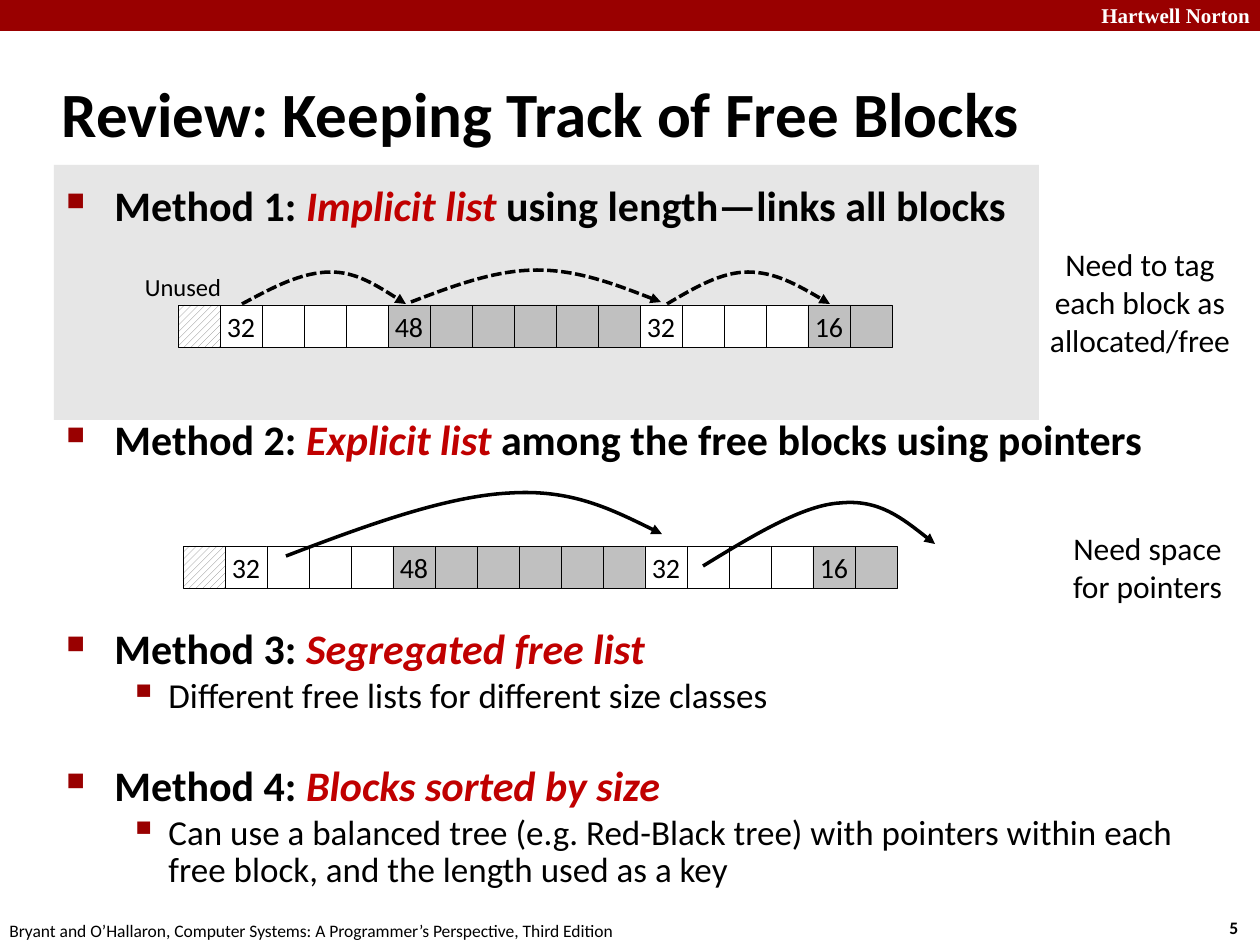
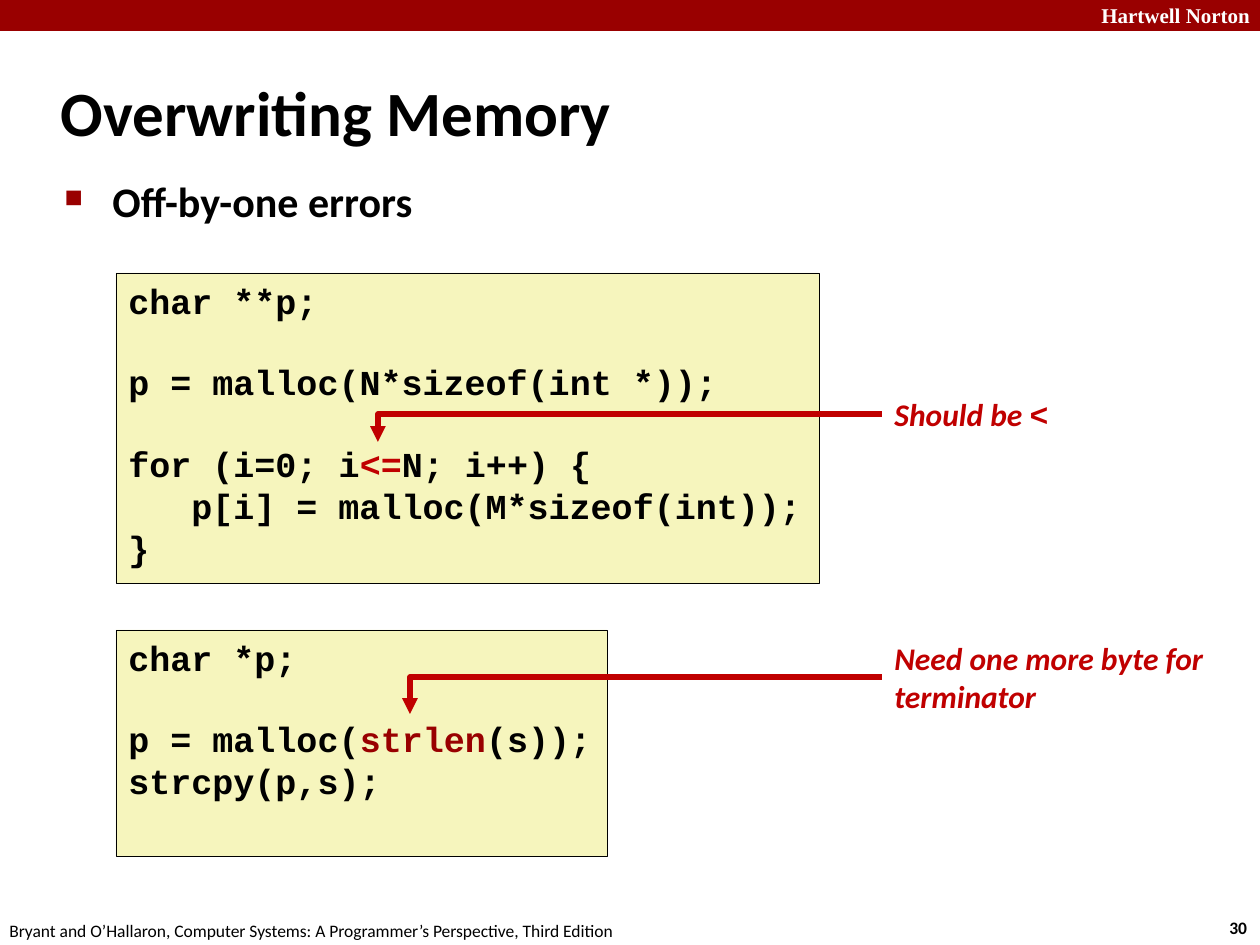
from lxml import etree
from pptx import Presentation
from pptx.dml.color import RGBColor
from pptx.enum.dml import MSO_LINE, MSO_PATTERN
from pptx.enum.shapes import MSO_CONNECTOR, MSO_SHAPE
from pptx.enum.text import MSO_ANCHOR, MSO_AUTO_SIZE, PP_ALIGN
from pptx.oxml.ns import qn
from pptx.util import Emu, Pt

SCALE = 914400 / 126
BLACK = RGBColor(0x00, 0x00, 0x00)
WHITE = RGBColor(0xFF, 0xFF, 0xFF)
MAROON = RGBColor(0x99, 0x00, 0x00)
RED = RGBColor(0xC0, 0x00, 0x00)
PALE = RGBColor(0xE6, 0xE6, 0xE6)
GRAY = RGBColor(0xC0, 0xC0, 0xC0)
DARK = RGBColor(0x80, 0x80, 0x80)
CREAM = RGBColor(0xF6, 0xF5, 0xBD)
SANS, SERIF, MONO = "Calibri", "Times New Roman", "Courier New"
RECT, ELBOW = MSO_SHAPE.RECTANGLE, MSO_CONNECTOR.ELBOW
DASH, HATCH = MSO_LINE.SQUARE_DOT, MSO_PATTERN.WIDE_UPWARD_DIAGONAL
LEFT, CENTER = PP_ALIGN.LEFT, PP_ALIGN.CENTER
TOP, MIDDLE = MSO_ANCHOR.TOP, MSO_ANCHOR.MIDDLE
FIXED = MSO_AUTO_SIZE.NONE

CELL = 42
BLOCKS = [("32", 4, WHITE), ("48", 6, GRAY), ("32", 4, WHITE), ("16", 2, GRAY)]
CODE_GAP = 22.66  # height of one empty code line, points
# bullet levels: mark, mark size, mark left, text left, font size, bold
LEVELS = [("■", 60, 0, 48, 24, True), ("▪", 110, 63, 102, 20, False)]


def px(num):
    return Emu(round(num * SCALE))


def box(*rect):
    return [px(num) for num in rect]


# ---- text ----
def style(run, size, color=BLACK, bold=False, italic=False, face=SANS):
    font = run.font
    font.name, font.size = face, Pt(size)
    font.bold, font.italic = bold, italic
    font.color.rgb = color


def write(para, parts, size, **base):
    """Fill a paragraph from plain text or (text, changes) pairs."""
    for part in [parts] if isinstance(parts, str) else parts:
        text, extra = (part, {}) if isinstance(part, str) else part
        run = para.add_run()
        run.text = text
        style(run, size, **{**base, **extra})


def next_para(frame, index):
    return frame.paragraphs[0] if index == 0 else frame.add_paragraph()


def set_frame(shape, anchor=TOP, wrap=False):
    frame = shape.text_frame
    frame.auto_size, frame.word_wrap = FIXED, wrap
    frame.vertical_anchor = anchor
    return frame


def label(slide, rect, lines, size, align=LEFT, anchor=TOP, **base):
    frame = set_frame(slide.shapes.add_textbox(*box(*rect)), anchor)
    for index, line in enumerate(lines):
        para = next_para(frame, index)
        para.alignment = align
        write(para, line, size, **base)


def bullets(slide, rect, items):
    """Each item is level, space before, line spacing, parts."""
    frame = set_frame(slide.shapes.add_textbox(*box(*rect)), wrap=True)
    for index, (level, gap, pitch, parts) in enumerate(items):
        mark, scale, start, left, size, bold = LEVELS[level]
        para = next_para(frame, index)
        para.level = level
        para.space_before, para.line_spacing = Pt(gap), pitch
        props = para._p.get_or_add_pPr()
        props.set("marL", str(px(left)))
        props.set("indent", str(px(start - left)))
        color = etree.SubElement(props, qn("a:buClr"))
        etree.SubElement(color, qn("a:srgbClr"), val=str(MAROON))
        etree.SubElement(props, qn("a:buSzPct"), val=str(scale * 1000))
        etree.SubElement(props, qn("a:buChar"), char=mark)
        write(para, parts, size, bold=bold)


# ---- shapes ----
def rect_shape(shapes, rect, fill, line=None):
    shape = shapes.add_shape(RECT, *box(*rect))
    shape.shadow.inherit = False
    shape.fill.solid()
    shape.fill.fore_color.rgb = fill
    if line is None:
        shape.line.fill.background()
    else:
        shape.line.color.rgb = line
        shape.line.width = Pt(0.25)
    return shape


def code(slide, rect, lines):
    """Each line is space before, left indent, parts."""
    frame = set_frame(rect_shape(slide.shapes, rect, CREAM, BLACK))
    for index, (gap, indent, parts) in enumerate(lines):
        para = next_para(frame, index)
        para.alignment, para.space_before = LEFT, Pt(gap)
        para._p.get_or_add_pPr().set("marL", str(px(indent)))
        write(para, parts, 20, bold=True, face=MONO)


def heap(slide, left, top):
    """A hatched unused word, then every block as a run of cells."""
    group = slide.shapes.add_group_shape().shapes
    unused = rect_shape(group, (left, top, CELL, CELL), WHITE, BLACK)
    unused.fill.patterned()
    unused.fill.pattern = HATCH
    unused.fill.fore_color.rgb = DARK
    unused.fill.back_color.rgb = WHITE
    for size, count, fill in BLOCKS:
        for index in range(count):
            left += CELL
            cell = rect_shape(group, (left, top, CELL, CELL), fill, BLACK)
            if index == 0:
                frame = set_frame(cell, MIDDLE)
                frame.paragraphs[0].alignment = CENTER
                write(frame.paragraphs[0], size, 16)


# ---- arrows ----
def arrow(line, color, width):
    line.color.rgb = color
    line.width = Pt(width)
    etree.SubElement(line._get_or_add_ln(), qn("a:tailEnd"), type="triangle")


def curve(slide, points, dash=None):
    """Draw a start point followed by triples of Bezier points."""
    pen = slide.shapes.build_freeform(*points[0], scale=SCALE)
    pen.add_line_segments(points[1:], close=False)
    shape = pen.convert_to_shape()
    steps = list(shape._element.iter(qn("a:lnTo")))
    for index in range(0, len(steps), 3):
        bend = etree.Element(qn("a:cubicBezTo"))
        steps[index].addprevious(bend)
        for step in steps[index:index + 3]:
            bend.append(step[0])
            step.getparent().remove(step)
    shape.shadow.inherit = False
    shape.fill.background()
    if dash:
        shape.line.dash_style = dash
    arrow(shape.line, BLACK, 2)


def hop(slide, start, mid, end, base, top):
    rise, fall, half = (mid - start) / 3, (end - mid) / 3, (base + top) / 2
    points = [(start, base), (start + rise, half), (mid - rise, top), (mid, top),
              (mid + fall, top), (end - fall, half), (end, base)]
    curve(slide, [(round(x), round(y)) for x, y in points], DASH)


def elbow(slide, start, end):
    """Run level from start, then turn down to end."""
    link = slide.shapes.add_connector(ELBOW, *box(*start, *end))
    props = link._element.spPr
    guides = props.find(qn("a:prstGeom")).get_or_add_avLst()
    etree.SubElement(guides, qn("a:gd"), name="adj1", fmla="val 100000")
    arrow(link.line, RED, 3)
    etree.SubElement(props, qn("a:effectLst"))


# ---- shared slide frame ----
def new_slide(deck, title, rect, number, pitch=1.0):
    slide = deck.slides.add_slide(deck.slide_layouts[5])
    head = slide.shapes.title
    head.left, head.top, head.width, head.height = box(*rect)
    frame = set_frame(head, MIDDLE, True)
    frame.text = title
    para = frame.paragraphs[0]
    para.alignment, para.line_spacing = LEFT, pitch
    style(para.runs[0], 36, bold=True)
    rect_shape(slide.shapes, (0, 0, 1260, 31), MAROON)
    label(slide, (1089, -4, 180, 38), ["Hartwell Norton"], 12,
          color=WHITE, bold=True, face=SERIF)
    label(slide, (1217, 911, 47, 34), [number], 10, bold=True)
    label(slide, (-3, 914, 640, 34),
          ["Bryant and O’Hallaron, Computer Systems: "
           "A Programmer’s Perspective, Third Edition"], 10)
    return slide


def free_blocks(deck):
    slide = new_slide(deck, "Review: Keeping Track of Free Blocks",
                      (49, 60, 1046, 105), "5")
    rect_shape(slide.shapes, (54, 165, 985, 255), PALE)
    key = {"color": RED, "italic": True}
    bullets(slide, (54, 173, 1143, 741), [
        (0, 4.3, 1.0, ["Method 1: ", ("Implicit list ", key),
                       "using length—links all blocks"]),
        (0, 105, 1.0, ["Method 2: ", ("Explicit list ", key),
                       "among the free blocks using pointers"]),
        (0, 95.7, 0.83, ["Method 3: ", ("Segregated free list", key)]),
        (1, 3.5, 0.88, "Different free lists for different size classes"),
        (0, 29.9, 0.83, ["Method 4: ", ("Blocks sorted by size", key)]),
        (1, 3.5, 0.88, "Can use a balanced tree (e.g. Red-Black tree) with pointers "
                       "within each free block, and the length used as a key"),
    ])
    # implicit list
    hop(slide, 242, 331, 406, 304, 272)
    hop(slide, 411, 537, 661, 302, 270)
    hop(slide, 667, 748, 830, 304, 272)
    label(slide, (1036, 239, 208, 127),
          ["Need to tag", "each block as", "allocated/free"], 18, CENTER)
    label(slide, (132, 265, 102, 43), ["Unused"], 14, CENTER, MIDDLE)
    heap(slide, 178, 305)
    # explicit list
    label(slide, (1057, 523, 181, 89), ["Need space", "for pointers"], 18, CENTER)
    heap(slide, 183, 546)
    curve(slide, [(286, 556), (367, 525), (447, 496), (510, 493),
                  (572, 489), (617, 512), (662, 534)])
    curve(slide, [(703, 566), (752, 536), (803, 505), (840, 503),
                  (879, 499), (907, 522), (935, 544)])


def overwriting(deck):
    slide = new_slide(deck, "Overwriting Memory", (48, 63, 1201, 108), "30", 0.87)
    bullets(slide, (52, 173, 1145, 719), [(0, 4.3, 0.95, "Off-by-one errors")])
    code(slide, (116, 273, 703, 310), [
        (0, 0, "char **p;"),
        (CODE_GAP, 0, "p = malloc(N*sizeof(int *));"),
        (CODE_GAP, 0, ["for (i=0; i", ("<=", {"color": RED}), "N; i++) {"]),
        (0, 63, "p[i] = malloc(M*sizeof(int));"),
        (0, 0, "}"),
    ])
    code(slide, (116, 630, 491, 226), [
        (0, 0, "char *p;"),
        (CODE_GAP, 0, ["p = malloc(", ("strlen", {"color": MAROON}), "(s));"]),
        (0, 0, "strcpy(p,s);"),
    ])
    note = {"color": RED, "bold": True, "italic": True}
    label(slide, (882, 389, 180, 50),
          [["Should be ", ("<", {"face": MONO, "italic": False})]], 18, **note)
    label(slide, (882, 633, 340, 89),
          ["Need one more byte for", "terminator"], 18, **note)
    elbow(slide, (882, 414), (378, 442))
    elbow(slide, (882, 677), (410, 714))


def main():
    deck = Presentation()
    deck.slide_width, deck.slide_height = box(1260, 945)
    free_blocks(deck)
    overwriting(deck)
    deck.save("out.pptx")


if __name__ == "__main__":
    main()
